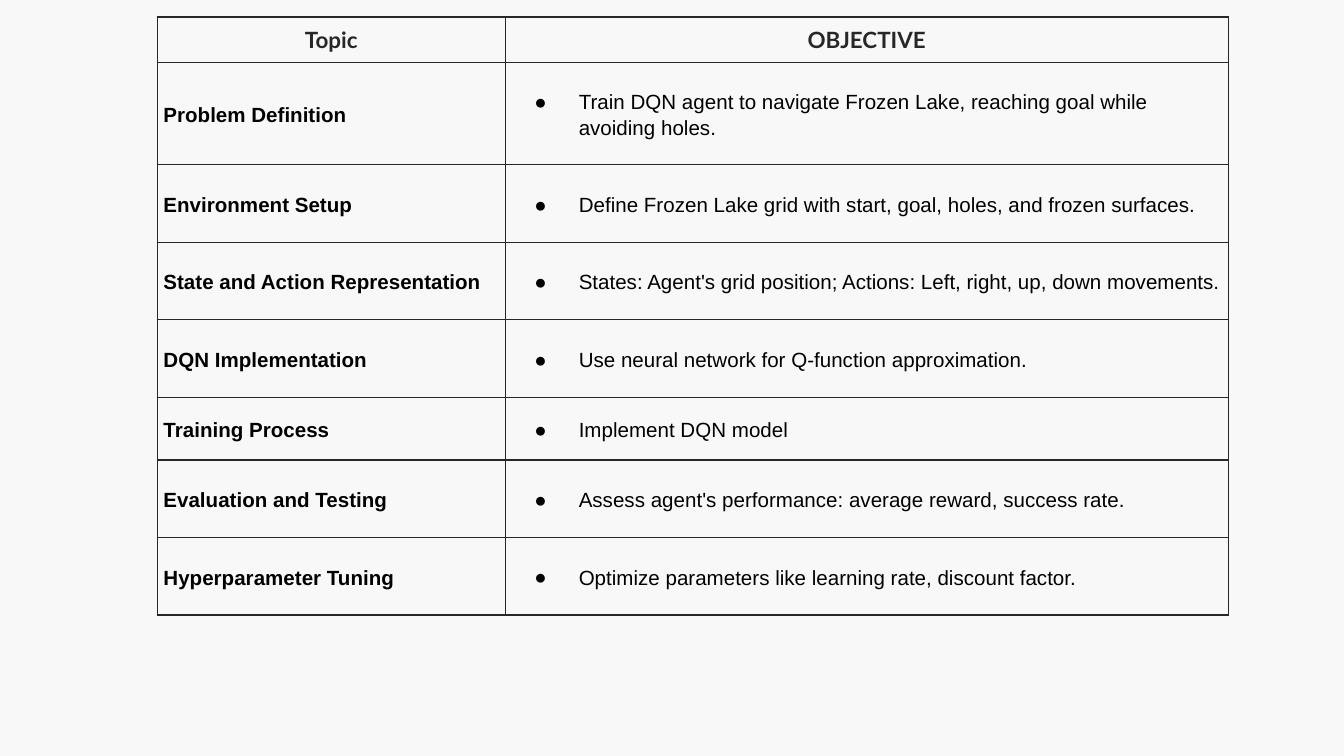
"""Build a slide with a table of project topics and their objectives."""
from lxml.etree import SubElement
from pptx import Presentation
from pptx.dml.color import RGBColor
from pptx.enum.text import MSO_ANCHOR, PP_ALIGN
from pptx.oxml.ns import qn
from pptx.util import Pt

BACKGROUND = RGBColor(0xF8, 0xF8, 0xF8)
DARK = RGBColor(0x27, 0x27, 0x29)
BLACK = RGBColor(0x00, 0x00, 0x00)

HEADERS = ("Topic", "OBJECTIVE")
OBJECTIVES = [
    ("Problem Definition", "Train DQN agent to navigate Frozen Lake, reaching goal while avoiding holes."),
    ("Environment Setup", "Define Frozen Lake grid with start, goal, holes, and frozen surfaces."),
    ("State and Action Representation", "States: Agent's grid position; Actions: Left, right, up, down movements."),
    ("DQN Implementation", "Use neural network for Q-function approximation."),
    ("Training Process", "Implement DQN model"),
    ("Evaluation and Testing", "Assess agent's performance: average reward, success rate."),
    ("Hyperparameter Tuning", "Optimize parameters like learning rate, discount factor."),
]
COLUMN_WIDTHS = (186.5, 387.3)
ROW_HEIGHTS = (22.5, 54.8, 41.5, 41.5, 41.5, 33.7, 41.5, 41.5)
HEADER_MARGINS = ((7.2, 5), (0, 0))


def add_borders(cell):
    properties = cell._tc.get_or_add_tcPr()
    for side in ("a:lnL", "a:lnR", "a:lnT", "a:lnB"):
        line = SubElement(properties, qn(side), w=str(Pt(0.75)))
        line_fill = SubElement(line, qn("a:solidFill"))
        SubElement(line_fill, qn("a:srgbClr"), val=str(DARK))


def add_bullet(paragraph):
    properties = paragraph._p.get_or_add_pPr()
    properties.set("marL", str(Pt(36)))
    properties.set("indent", str(-Pt(23.75)))
    bullet_color = SubElement(properties, qn("a:buClr"))
    SubElement(bullet_color, qn("a:srgbClr"), val=str(BLACK))
    SubElement(properties, qn("a:buFont"), typeface="Arial")
    SubElement(properties, qn("a:buChar"), char="●")


presentation = Presentation()
presentation.slide_width = Pt(720)
presentation.slide_height = Pt(405)
slide = presentation.slides.add_slide(presentation.slide_layouts[6])
slide.background.fill.solid()
slide.background.fill.fore_color.rgb = BACKGROUND

rows = [HEADERS] + OBJECTIVES
table = slide.shapes.add_table(
    len(rows), len(HEADERS), Pt(84.2), Pt(9.1), Pt(sum(COLUMN_WIDTHS)), Pt(sum(ROW_HEIGHTS))
).table
table.first_row = False
table.horz_banding = False
for column, width in zip(table.columns, COLUMN_WIDTHS):
    column.width = Pt(width)
for row, height in zip(table.rows, ROW_HEIGHTS):
    row.height = Pt(height)

for row_index, texts in enumerate(rows):
    is_header = row_index == 0
    for column_index, text in enumerate(texts):
        cell = table.cell(row_index, column_index)
        add_borders(cell)
        cell.fill.background()
        cell.vertical_anchor = MSO_ANCHOR.MIDDLE
        side_margin, end_margin = HEADER_MARGINS[column_index] if is_header else (3.4, 3.4)
        cell.margin_left = cell.margin_right = Pt(side_margin)
        cell.margin_top = cell.margin_bottom = Pt(end_margin)

        cell.text_frame.text = text
        paragraph = cell.text_frame.paragraphs[0]
        if is_header:
            paragraph.alignment = PP_ALIGN.CENTER
        else:
            paragraph.line_spacing = 1.15
            if column_index == 1:
                add_bullet(paragraph)
        font = paragraph.runs[0].font
        font.name = "Lato" if is_header else "Arial"
        font.size = Pt(12 if is_header else 11)
        font.bold = is_header or column_index == 0
        font.color.rgb = DARK if is_header else BLACK

presentation.save("out.pptx")
